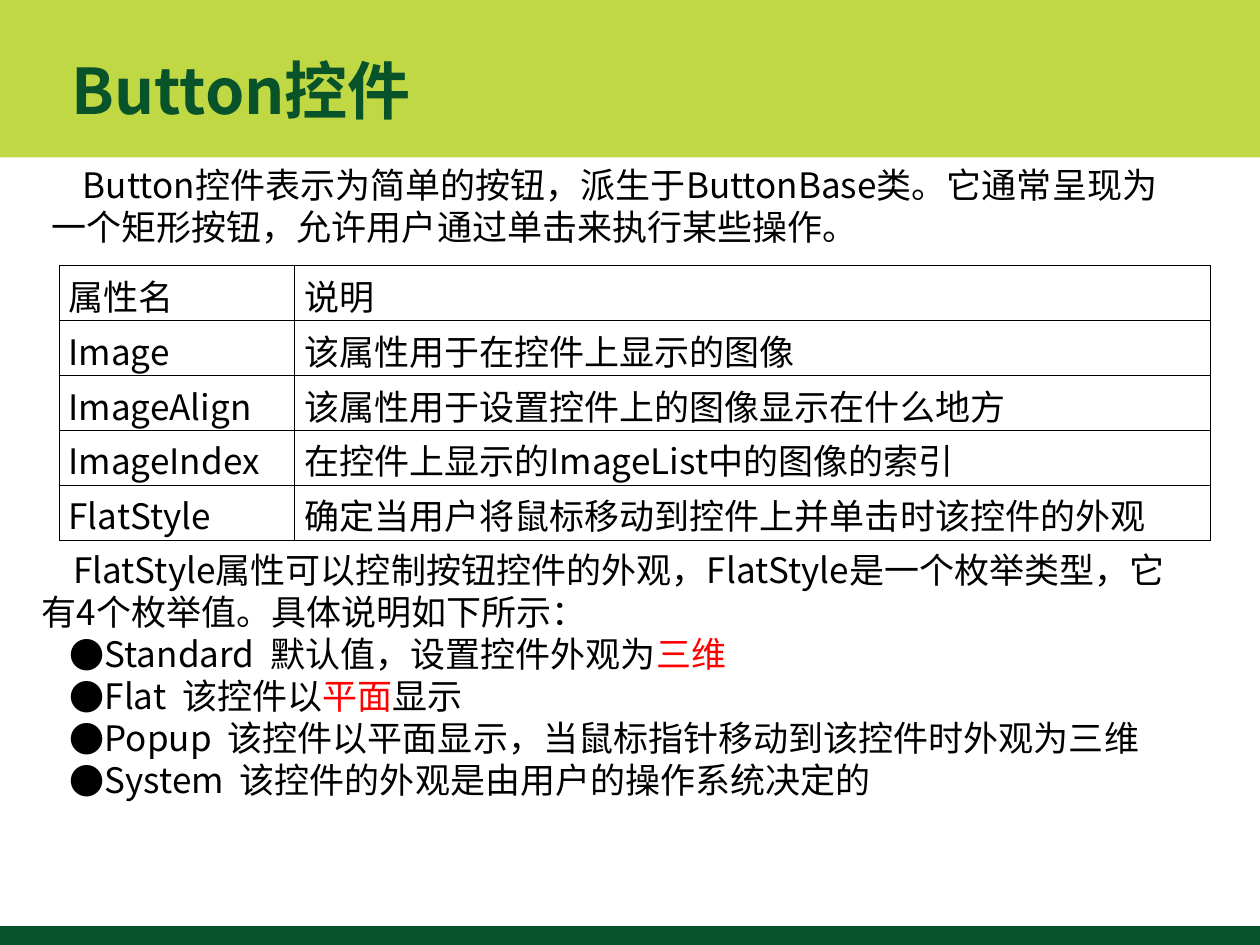
from lxml import etree
from pptx import Presentation
from pptx.dml.color import RGBColor
from pptx.enum.shapes import MSO_SHAPE
from pptx.enum.text import MSO_ANCHOR, MSO_AUTO_SIZE, PP_ALIGN
from pptx.oxml.ns import qn
from pptx.util import Pt

RECTANGLE = MSO_SHAPE.RECTANGLE
MIDDLE, TOP = MSO_ANCHOR.MIDDLE, MSO_ANCHOR.TOP
LEFT, JUSTIFY = PP_ALIGN.LEFT, PP_ALIGN.JUSTIFY
FONT = "Noto Sans CJK SC"
LIME, GREEN, BLACK, RED = "BFD844", "09532A", "000000", "FF0000"
WIDTH, HEIGHT = 720, 540
LINE = 24

# Content
TITLE = "Button控件"
INTRO = ("Button控件表示为简单的按钮，派生于ButtonBase类。"
         "它通常呈现为一个矩形按钮，允许用户通过单击来执行某些操作。")
PROPERTIES = [
    ("属性名", "说明"),
    ("Image", "该属性用于在控件上显示的图像"),
    ("ImageAlign", "该属性用于设置控件上的图像显示在什么地方"),
    ("ImageIndex", "在控件上显示的ImageList中的图像的索引"),
    ("FlatStyle", "确定当用户将鼠标移动到控件上并单击时该控件的外观"),
]
STYLE_INTRO = ("FlatStyle属性可以控制按钮控件的外观，FlatStyle是一个枚举类型，"
               "它有4个枚举值。具体说明如下所示：")
STYLES = [
    [("Standard  默认值，设置控件外观为", BLACK), ("三维", RED)],
    [("Flat  该控件以", BLACK), ("平面", RED), ("显示", BLACK)],
    [("Popup  该控件以平面显示，当鼠标指针移动到该控件时外观为三维", BLACK)],
    [("System  该控件的外观是由用户的操作系统决定的", BLACK)],
]
BANDS = [(0, 90, LIME), (529.2, 10.8, GREEN)]  # top, height, colour
COLUMNS = (134.6, 523.4)
ROW = 31.4


def color(value):
    return RGBColor.from_string(value)


def place(box, left, top, width, height):
    box.left, box.top, box.width, box.height = map(Pt, (left, top, width, height))


def set_frame(frame, anchor):
    frame.word_wrap = True
    frame.auto_size = MSO_AUTO_SIZE.NONE
    frame.vertical_anchor = anchor
    frame.margin_left = frame.margin_right = Pt(7.2)
    frame.margin_top = frame.margin_bottom = Pt(3.6)


def write(para, spans, size=20, bold=False, align=LEFT, line=LINE,
          margin=0, indent=0, bullet=None):
    """Fill a paragraph with (text, colour) spans in one shared format."""
    props = para._p.get_or_add_pPr()
    props.set("marL", str(Pt(margin)))
    props.set("indent", str(Pt(indent)))
    para.alignment = align
    para.space_before = para.space_after = Pt(0)
    if line:
        para.line_spacing = Pt(line)
    if bullet:
        bullet_color = etree.SubElement(props, qn("a:buClr"))
        etree.SubElement(bullet_color, qn("a:srgbClr"), val=BLACK)
        etree.SubElement(props, qn("a:buFont"), typeface=FONT)
        etree.SubElement(props, qn("a:buChar"), char=bullet)
    else:
        etree.SubElement(props, qn("a:buNone"))
    para.font.name, para.font.size, para.font.bold = FONT, Pt(size), bold
    for text, tint in spans:
        span = para.add_run()
        span.text = text
        span.font.color.rgb = color(tint)
        # East Asian glyphs take their typeface from a:ea
        span.font.name = FONT
        etree.SubElement(span._r.get_or_add_rPr(), qn("a:ea"), typeface=FONT)


def add_borders(cell, width=0.45):
    props = cell._tc.get_or_add_tcPr()
    for index, side in enumerate(("a:lnL", "a:lnR", "a:lnT", "a:lnB")):
        edge = etree.Element(qn(side), w=str(Pt(width)))
        fill = etree.SubElement(edge, qn("a:solidFill"))
        etree.SubElement(fill, qn("a:srgbClr"), val=BLACK)
        props.insert(index, edge)


deck = Presentation()
deck.slide_width, deck.slide_height = Pt(WIDTH), Pt(HEIGHT)
page = deck.slides.add_slide(deck.slide_layouts[1])
title, body = page.placeholders

# Colour bands, sent behind the text
for top, height, tint in BANDS:
    band = page.shapes.add_shape(RECTANGLE, 0, Pt(top), Pt(WIDTH), Pt(height))
    band.shadow.inherit = False
    band.fill.solid()
    band.fill.fore_color.rgb = color(tint)
    band.line.fill.background()
    page.shapes._spTree.insert(2, band._element)

# Title
place(title, 33.8, 16.6, 534.2, 68.4)
set_frame(title.text_frame, MIDDLE)
write(title.text_frame.paragraphs[0], [(TITLE, GREEN)], size=36, bold=True, line=None)

# Introduction
intro = page.shapes.add_textbox(0, 0, 0, 0)
place(intro, 22.3, 90, 663.8, 55.4)
set_frame(intro.text_frame, TOP)
write(intro.text_frame.paragraphs[0], [(INTRO, BLACK)], indent=18)

# Property table
table = page.shapes.add_table(len(PROPERTIES), len(COLUMNS), Pt(33.8), Pt(151.7),
                              Pt(sum(COLUMNS)), Pt(ROW * len(PROPERTIES))).table
table.first_row = table.horz_banding = False
for column, width in zip(table.columns, COLUMNS):
    column.width = Pt(width)
for row, texts in zip(table.rows, PROPERTIES):
    row.height = Pt(ROW)
    for cell, text in zip(row.cells, texts):
        cell.fill.background()
        add_borders(cell)
        cell.vertical_anchor = MIDDLE
        cell.margin_left = cell.margin_right = Pt(5.4)
        cell.margin_top, cell.margin_bottom = Pt(7.2), Pt(0)
        write(cell.text_frame.paragraphs[0], [(text, BLACK)], align=JUSTIFY)

# FlatStyle values
place(body, 16.6, 309.6, 669.6, 151.2)
frame = body.text_frame
set_frame(frame, TOP)
write(frame.paragraphs[0], [(STYLE_INTRO, BLACK)], indent=18)
for spans in STYLES:
    para = frame.add_paragraph()
    para.level = 1
    write(para, spans, margin=36, indent=-20, bullet="●")

deck.save("out.pptx")
